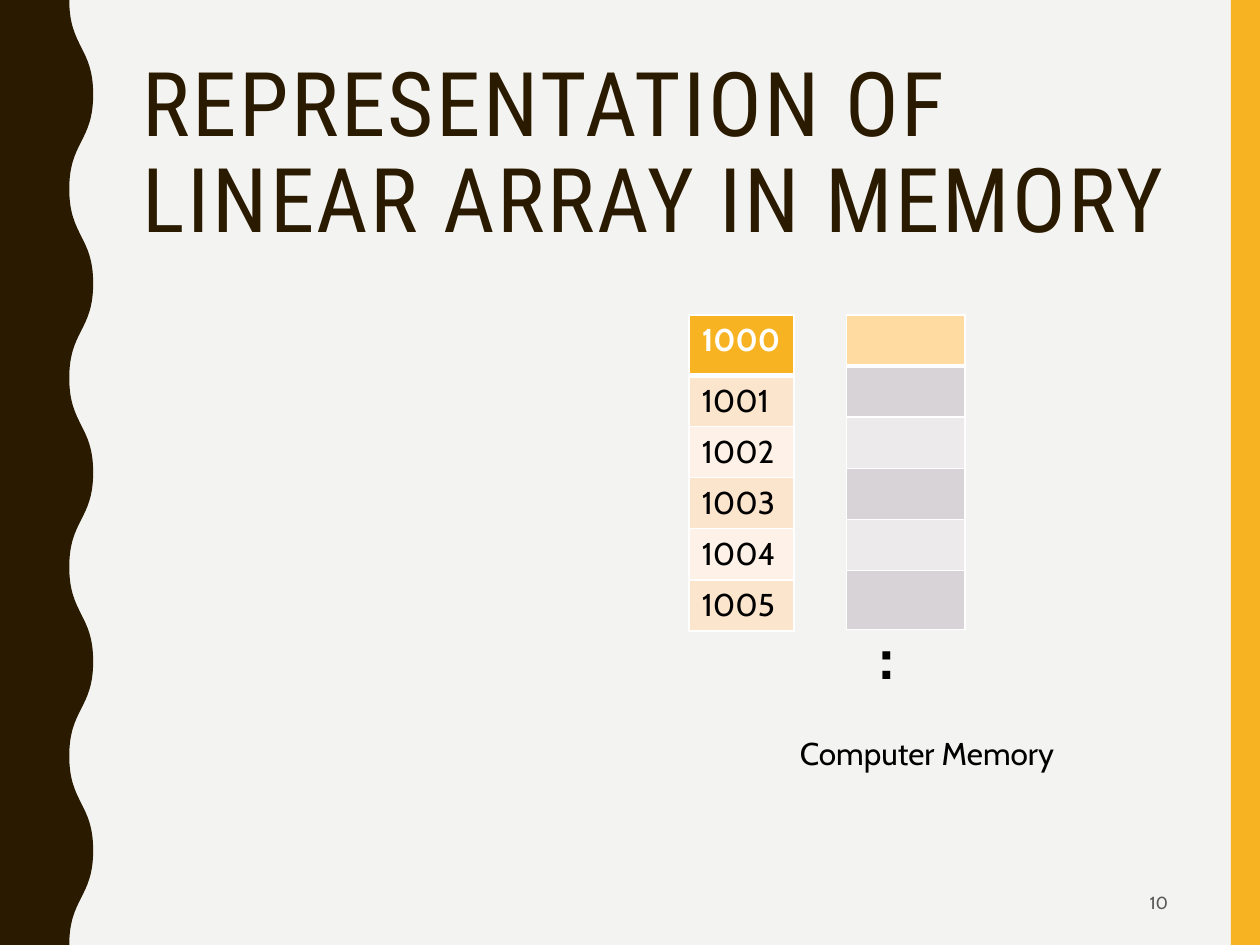
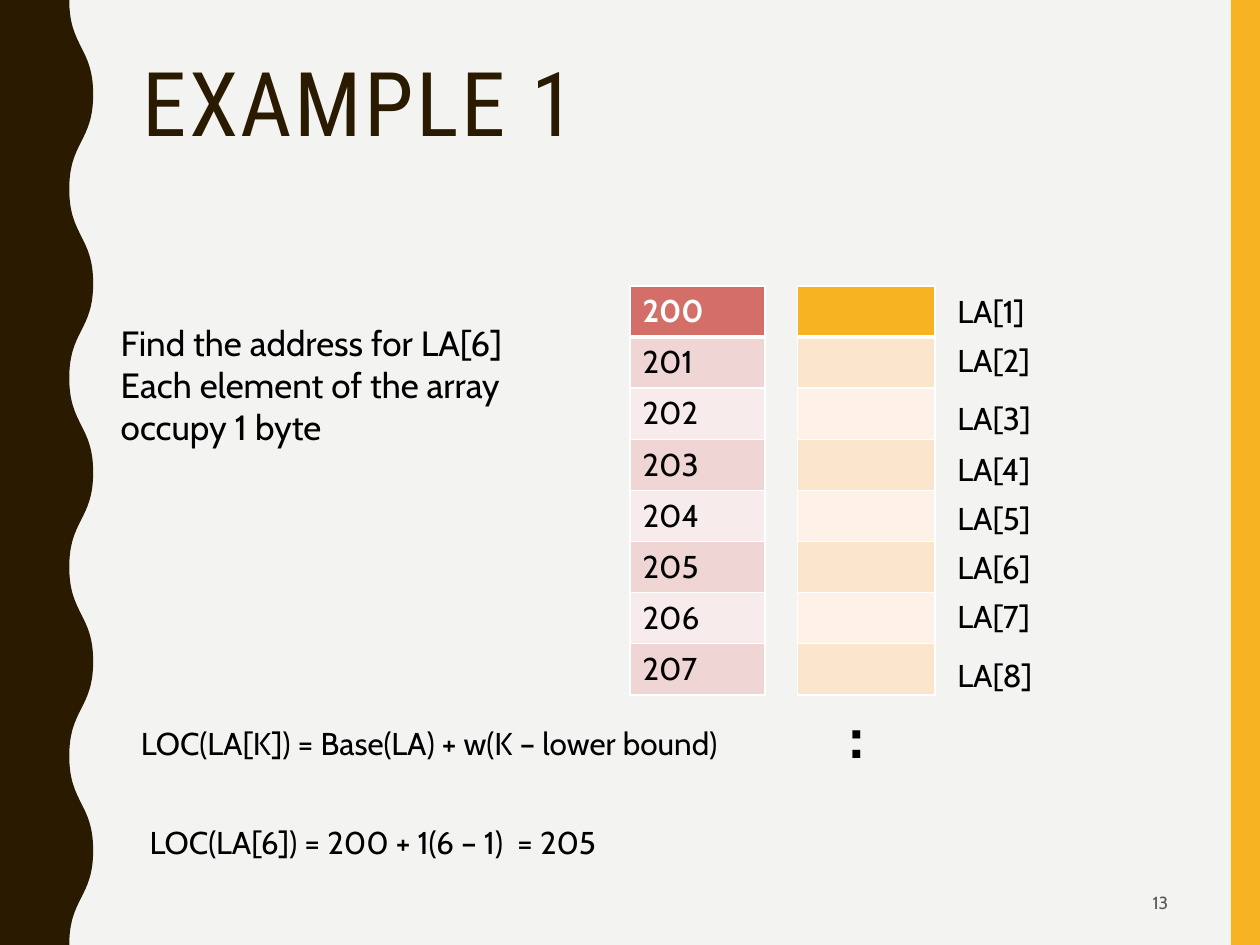
from lxml.etree import SubElement
from pptx import Presentation
from pptx.dml.color import RGBColor
from pptx.enum.shapes import MSO_SHAPE as Shape
from pptx.enum.text import MSO_ANCHOR as Anchor, MSO_AUTO_SIZE as AutoSize, PP_ALIGN as Align
from pptx.oxml.ns import qn
from pptx.util import Inches, Pt

BACKGROUND = RGBColor(0xF3, 0xF3, 0xF2)
BROWN = RGBColor(0x2A, 0x1A, 0x00)
GOLD = RGBColor(0xF8, 0xB3, 0x23)
GRAY = RGBColor(0x59, 0x59, 0x59)
BLACK = RGBColor(0x00, 0x00, 0x00)
WHITE = RGBColor(0xFF, 0xFF, 0xFF)

GOLD_BANDS = (GOLD, RGBColor(0xFC, 0xE5, 0xCD), RGBColor(0xFE, 0xF2, 0xE8))
RED_BANDS = (RGBColor(0xD3, 0x6F, 0x68), RGBColor(0xEF, 0xD5, 0xD4), RGBColor(0xF7, 0xEB, 0xEB))
MAUVE_BANDS = (RGBColor(0xFF, 0xDB, 0xA1), RGBColor(0xD8, 0xD3, 0xD6), RGBColor(0xED, 0xEA, 0xEC))

TITLE_FONT = "Roboto Condensed"
BODY_FONT = "Cabin"
ROW = 29.2 / 72
LABEL_TOPS = (2.27, 2.66, 3.12, 3.52, 3.91, 4.3, 4.69, 5.16)

SLIDES = [
    {
        "title": "REPRESENTATION OF LINEAR ARRAY IN MEMORY",
        "number": "10",
        "columns": [
            {"at": (6.72, 2.5), "width": 0.94, "bands": MAUVE_BANDS,
             "cells": [""] * 6, "heights": [ROW] * 5 + [0.47]},
            {"at": (5.47, 2.5), "width": 0.83, "bands": GOLD_BANDS,
             "cells": [str(1000 + i) for i in range(6)], "heights": [0.48] + [ROW] * 5},
        ],
        "texts": [
            {"lines": ["Computer Memory"], "box": (6.25, 5.78, 2.81, 0.4)},
            {"lines": [":"], "box": (6.88, 4.84, 1.72, 0.71), "size": 36, "bold": True},
        ],
    },
    {
        "title": "EXAMPLE 1",
        "number": "13",
        "columns": [
            {"at": (6.33, 2.27), "width": 1.09, "bands": GOLD_BANDS,
             "cells": [""] * 8, "heights": [ROW] * 8},
            {"at": (5, 2.27), "width": 1.07, "bands": RED_BANDS,
             "cells": [str(200 + i) for i in range(8)], "heights": [ROW] * 8},
        ],
        "texts": [
            {"lines": [f"LA[{index}]"], "box": (7.5, top, 0.94, 0.4)}
            for index, top in enumerate(LABEL_TOPS, 1)
        ] + [
            {"lines": ["Find the address for LA[6]", "Each element of the array occupy 1 byte"],
             "box": (0.86, 2.5, 3.98, 1.11), "size": 20},
            {"lines": ["LOC(LA[K]) = Base(LA) + w(K – lower bound)"], "box": (1.02, 5.7, 5.63, 0.4)},
            {"lines": ["LOC(LA[6]) = 200 + 1(6 – 1)  = 205"], "box": (1.09, 6.48, 5.47, 0.4)},
            {"lines": [":"], "box": (6.64, 5.47, 1.72, 0.71), "size": 36, "bold": True},
        ],
    },
]


def inches(values):
    return [Inches(value) for value in values]


def style_font(font, size, color, bold=False, name=BODY_FONT):
    font.name, font.size, font.bold = name, Pt(size), bold
    font.color.rgb = color


def add_run(paragraph, text, *style, **options):
    run = paragraph.add_run()
    run.text = text
    style_font(run.font, *style, **options)
    return run


def add_text(slide, lines, box, size=18, color=BLACK, bold=False, align=Align.LEFT):
    shape = slide.shapes.add_textbox(*inches(box))
    frame = shape.text_frame
    frame.word_wrap = True
    for index, line in enumerate(lines):
        paragraph = frame.add_paragraph() if index else frame.paragraphs[0]
        paragraph.alignment = align
        add_run(paragraph, line, size, color, bold)
    return frame


def set_borders(cell, widths):
    properties = cell._tc.get_or_add_tcPr()
    for index, (side, width) in enumerate(widths.items()):
        line = SubElement(properties, qn(f"a:ln{side}"), w=str(Pt(width)))
        fill = SubElement(line, qn("a:solidFill"))
        SubElement(fill, qn("a:srgbClr"), val=str(WHITE))
        properties.insert(index, line)


def add_memory_column(slide, at, width, bands, cells, heights):
    box = inches((*at, width, sum(heights)))
    table = slide.shapes.add_table(len(cells), 1, *box).table
    for index, (text, height) in enumerate(zip(cells, heights)):
        table.rows[index].height = Inches(height)
        cell = table.cell(index, 0)
        cell.fill.solid()
        cell.fill.fore_color.rgb = bands[0 if index == 0 else 2 - index % 2]
        set_borders(cell, {"L": 1, "R": 1, "T": 3 if index == 1 else 1, "B": 3 if index == 0 else 1})
        paragraph = cell.text_frame.paragraphs[0]
        style = (18, BLACK if index else WHITE, index == 0)
        if text:
            add_run(paragraph, text, *style)
        else:
            style_font(paragraph.font, *style)


def wave_curves(inner=0.55, outer=0.74, step=0.75, waves=10):
    for wave in range(waves):
        start, end = (inner, outer) if wave % 2 == 0 else (outer, inner)
        middle, bottom = step * (wave + 0.5), step * (wave + 1)
        yield from ((start, middle), (end, middle), (end, bottom))
    yield from [(0, step * waves)] * 3
    yield from [(0, 0)] * 3


def curve_segments(shape):
    lines = list(shape._element.iter(qn("a:lnTo")))
    for first, second, third in zip(*[iter(lines)] * 3):
        first.tag = qn("a:cubicBezTo")
        for line in (second, third):
            first.append(line[0])
            line.getparent().remove(line)


def add_wave(slide):
    builder = slide.shapes.build_freeform(Inches(0.55), 0, scale=1.0)
    builder.add_line_segments([inches(point) for point in wave_curves()], close=True)
    return builder.convert_to_shape()


def decorate_layout(layout, slide):
    layout.background.fill.solid()
    layout.background.fill.fore_color.rgb = BACKGROUND
    band = slide.shapes.add_shape(Shape.RECTANGLE, *inches((9.77, 0, 0.23, 7.5)))
    wave = add_wave(slide)
    for shape, color in ((band, GOLD), (wave, BROWN)):
        shape.shadow.inherit = False
        shape.fill.solid()
        shape.fill.fore_color.rgb = color
        shape.line.fill.background()
        layout.shapes._spTree.append(shape._element)
    segments = [line for line in wave._element.iter(qn("a:lnTo"))]
    if len(segments) % 3 == 1:
        segments[-1].getparent().remove(segments[-1])
    curve_segments(wave)


def set_title(shape, text):
    shape.left, shape.top, shape.width, shape.height = inches((1.03, 0.42, 8.35, 1.63))
    frame = shape.text_frame
    frame.auto_size = AutoSize.NONE
    frame.word_wrap = True
    frame.vertical_anchor = Anchor.TOP
    paragraph = frame.paragraphs[0]
    paragraph.alignment = Align.LEFT
    paragraph.line_spacing = 0.9
    run = add_run(paragraph, text, 51, BROWN, name=TITLE_FONT)
    run.font._element.set("spc", "150")


def main():
    presentation = Presentation()
    presentation.slide_width, presentation.slide_height = Inches(10), Inches(7.5)
    layout = presentation.slide_layouts[5]
    for placeholder in list(layout.placeholders)[1:]:
        layout.shapes._spTree.remove(placeholder._element)
    for index, content in enumerate(SLIDES):
        slide = presentation.slides.add_slide(layout)
        if index == 0:
            decorate_layout(layout, slide)
        set_title(slide.shapes.title, content["title"])
        for column in content["columns"]:
            add_memory_column(slide, **column)
        for text in content["texts"]:
            add_text(slide, **text).auto_size = AutoSize.SHAPE_TO_FIT_TEXT
        number = add_text(slide, [content["number"]], (7.06, 6.97, 2.31, 0.38), 10, GRAY, align=Align.RIGHT)
        number.vertical_anchor = Anchor.MIDDLE
    presentation.save("out.pptx")


if __name__ == "__main__":
    main()
